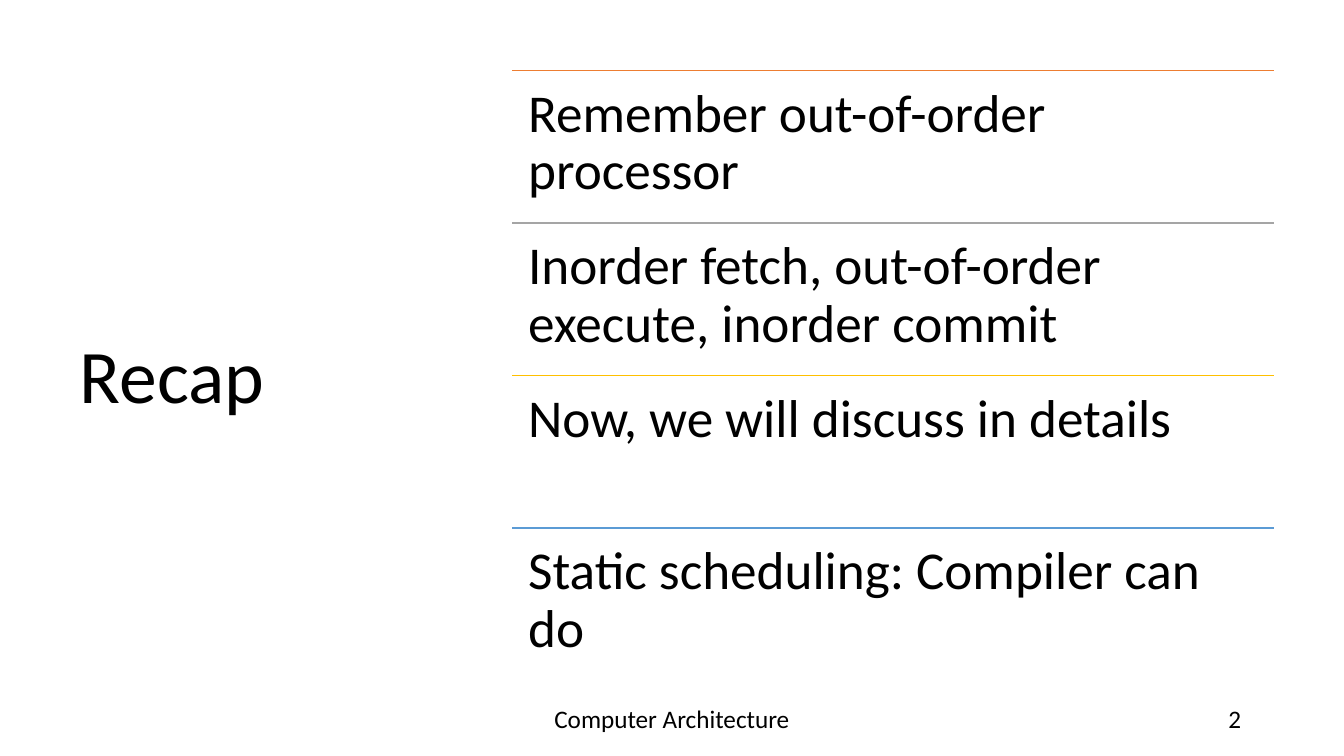
from dataclasses import dataclass

from lxml import etree
from pptx import Presentation
from pptx.dml.color import RGBColor
from pptx.enum.shapes import MSO_CONNECTOR
from pptx.enum.text import MSO_ANCHOR, PP_ALIGN
from pptx.oxml.ns import qn
from pptx.util import Pt

STRAIGHT = MSO_CONNECTOR.STRAIGHT
TOP, MIDDLE = MSO_ANCHOR.TOP, MSO_ANCHOR.MIDDLE
LEFT, CENTER, RIGHT = PP_ALIGN.LEFT, PP_ALIGN.CENTER, PP_ALIGN.RIGHT
EMU_PER_PX = 9525
BLANK_LAYOUT = 6


@dataclass(frozen=True)
class Theme:
    font: str = "Calibri"
    ink: str = "000000"
    background: str = "FFFFFF"
    rules: tuple = ("ED7D31", "A5A5A5", "FFC000", "5B9BD5")
    rule_width: int = 1
    title_size: int = 54
    point_size: int = 38
    footer_size: int = 18


THEME = Theme()
TITLE = "Recap"
POINTS = (
    "Remember out-of-order processor",
    "Inorder fetch, out-of-order execute, inorder commit",
    "Now, we will discuss in details",
    "Static scheduling: Compiler can do",
)
COURSE = "Computer Architecture"
PAGE_NUMBER = "2"


def px(length):
    return round(length * EMU_PER_PX)


def add_text(slide, text, box, *, size, align=LEFT, anchor=MIDDLE,
             inset_x=10, inset_y=5, space_after=0):
    textbox = slide.shapes.add_textbox(*map(px, box))
    frame = textbox.text_frame
    frame.word_wrap = True
    frame.vertical_anchor = anchor
    frame.margin_left = frame.margin_right = px(inset_x)
    frame.margin_top = frame.margin_bottom = px(inset_y)
    paragraph = frame.paragraphs[0]
    paragraph.alignment = align
    paragraph.line_spacing = 0.9
    paragraph.space_after = Pt(space_after)
    run = paragraph.add_run()
    run.text = text
    run.font.name = THEME.font
    run.font.size = Pt(size)
    run.font.color.rgb = RGBColor.from_string(THEME.ink)


def add_rule(slide, left, top, width, color):
    rule = slide.shapes.add_connector(
        STRAIGHT, px(left), px(top), px(left + width), px(top))
    rule.line.color.rgb = RGBColor.from_string(color)
    rule.line.width = Pt(THEME.rule_width)
    etree.SubElement(rule.element.spPr, qn("a:effectLst"))


def add_title(slide, box):
    add_text(slide, TITLE, box, size=THEME.title_size)


def add_points(slide, box):
    left, top, width, height = box
    row_height = height / len(POINTS)
    for index, (point, color) in enumerate(zip(POINTS, THEME.rules)):
        row_top = top + index * row_height
        add_rule(slide, left, row_top, width, color)
        add_text(slide, point, (left, row_top, width, row_height),
                 size=THEME.point_size, anchor=TOP, inset_x=15, inset_y=15)


def add_footer(slide, box):
    left, top, width, height = box
    course_width, number_width = 432, 288
    add_text(slide, COURSE, (left, top, course_width, height),
             size=THEME.footer_size, align=CENTER, space_after=6)
    add_text(slide, PAGE_NUMBER,
             (left + width - number_width, top, number_width, height),
             size=THEME.footer_size, align=RIGHT, space_after=6)


def main():
    presentation = Presentation()
    presentation.slide_width = px(1280)
    presentation.slide_height = px(720)
    slide = presentation.slides.add_slide(
        presentation.slide_layouts[BLANK_LAYOUT])
    fill = slide.background.fill
    fill.solid()
    fill.fore_color.rgb = RGBColor.from_string(THEME.background)
    add_title(slide, (66, 67, 359, 587))
    add_points(slide, (488, 67, 725, 581))
    add_footer(slide, (424, 667, 768, 38))
    presentation.save("out.pptx")


if __name__ == "__main__":
    main()
